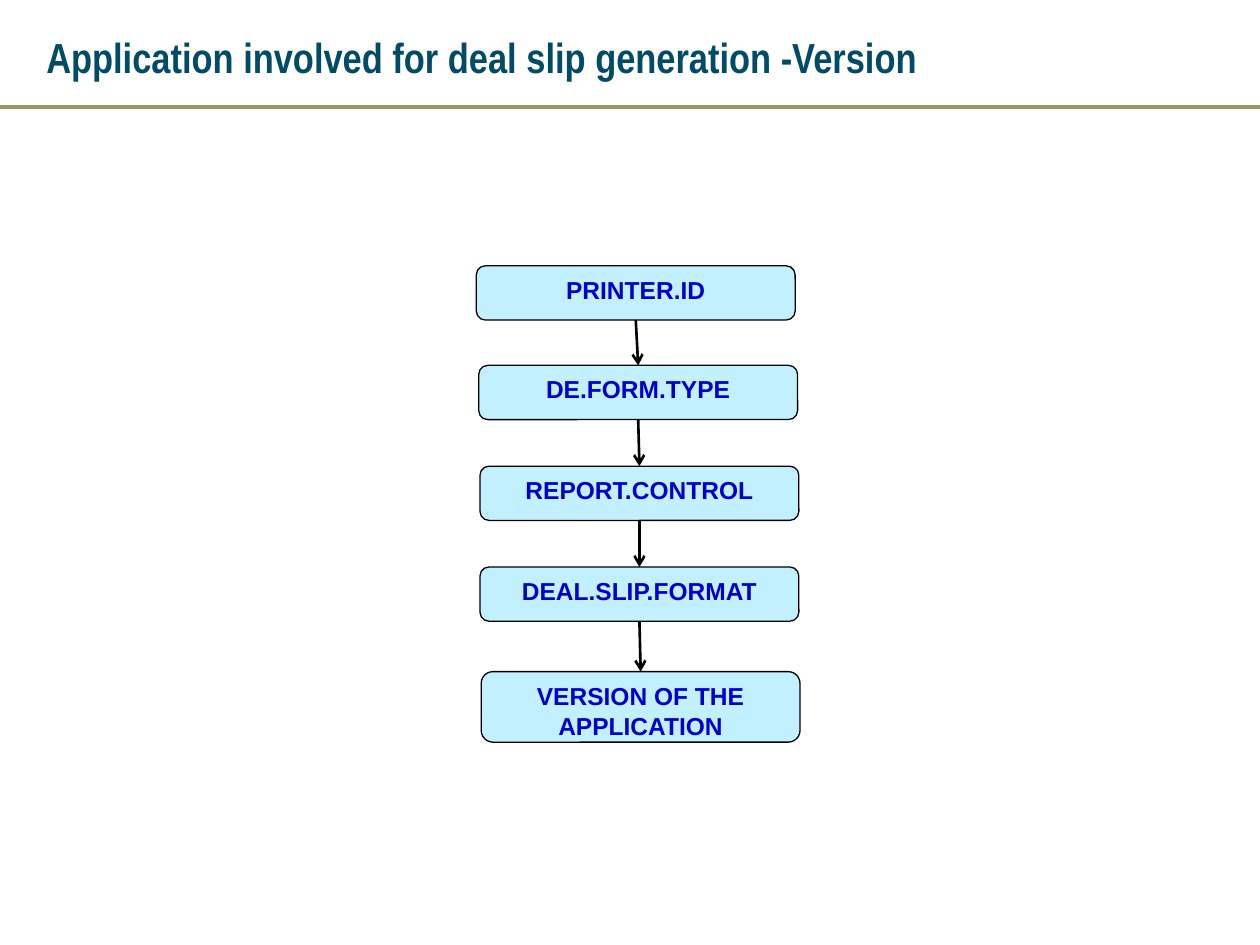
from itertools import pairwise

from pptx import Presentation
from pptx.dml.color import RGBColor
from pptx.enum.shapes import MSO_CONNECTOR, MSO_SHAPE
from pptx.enum.text import MSO_ANCHOR, PP_ALIGN
from pptx.oxml.ns import qn
from pptx.util import Pt
from lxml.etree import SubElement

TEAL = RGBColor(0x00, 0x4B, 0x66)
GOLD = RGBColor(0x9F, 0x94, 0x66)
PALE_BLUE = RGBColor(0xC2, 0xF0, 0xFF)
BLUE = RGBColor(0x00, 0x00, 0xCC)
BLACK = RGBColor(0x00, 0x00, 0x00)

BOX_WIDTH = 182.2

# Application name, left, top, height
APPLICATIONS = [
    ("PRINTER.ID", 272.2, 151.9, 31),
    ("DE.FORM.TYPE", 273.6, 208.8, 31),
    ("REPORT.CONTROL", 274.3, 266.4, 31),
    ("DEAL.SLIP.FORMAT", 274.3, 324, 31),
    ("VERSION OF THE APPLICATION", 275, 383.8, 40.3),
]


def add_run(paragraph, text, font_name, size, color):
    run = paragraph.add_run()
    run.text = text
    run.font.name = font_name
    run.font.size = Pt(size)
    run.font.bold = True
    run.font.color.rgb = color


def add_title(slide, text):
    title = slide.shapes.add_textbox(Pt(19.4), Pt(10.8), Pt(686.2), Pt(43.2))
    frame = title.text_frame
    frame.word_wrap = True
    frame.vertical_anchor = MSO_ANCHOR.MIDDLE
    add_run(frame.paragraphs[0], text, "Arial Narrow", 24, TEAL)


def add_line(slide, start, end, color, width):
    line = slide.shapes.add_connector(
        MSO_CONNECTOR.STRAIGHT, *(Pt(value) for value in (*start, *end)))
    line.line.color.rgb = color
    line.line.width = Pt(width)
    SubElement(line.element.spPr, qn("a:effectLst"))
    return line


def add_box(slide, text, left, top, height):
    box = slide.shapes.add_shape(MSO_SHAPE.ROUNDED_RECTANGLE, Pt(left),
                                 Pt(top), Pt(BOX_WIDTH), Pt(height))
    box.shadow.inherit = False
    box.fill.solid()
    box.fill.fore_color.rgb = PALE_BLUE
    box.line.color.rgb = BLACK
    box.line.width = Pt(0.75)
    frame = box.text_frame
    frame.word_wrap = True
    frame.vertical_anchor = MSO_ANCHOR.TOP
    paragraph = frame.paragraphs[0]
    paragraph.alignment = PP_ALIGN.CENTER
    add_run(paragraph, text, "Arial", 14, BLUE)
    return box


def add_arrow(slide, upper, lower):
    arrow = add_line(slide, (0, 0), (0, 0), BLACK, 1.5)
    arrow.begin_connect(upper, 2)
    arrow.end_connect(lower, 0)
    SubElement(arrow.line._get_or_add_ln(), qn("a:tailEnd"), type="arrow")


def main():
    presentation = Presentation()
    presentation.slide_width = Pt(720)
    presentation.slide_height = Pt(540)
    slide = presentation.slides.add_slide(presentation.slide_layouts[6])

    # Heading and rule
    add_line(slide, (0, 61.2), (720, 61.2), GOLD, 2)
    add_title(slide, "Application involved for deal slip generation -Version")

    # Chain of applications
    boxes = [add_box(slide, *application) for application in APPLICATIONS]
    for upper, lower in pairwise(boxes):
        add_arrow(slide, upper, lower)

    presentation.save("out.pptx")


if __name__ == "__main__":
    main()
